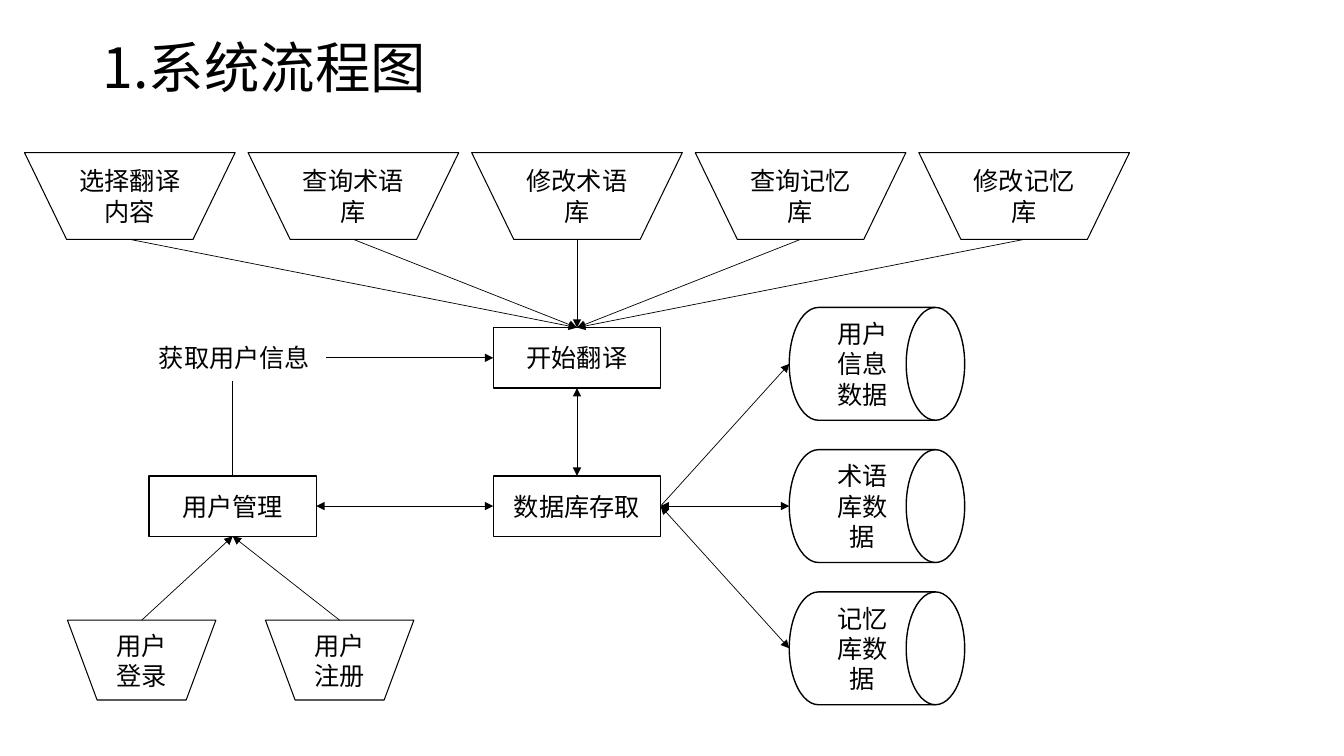
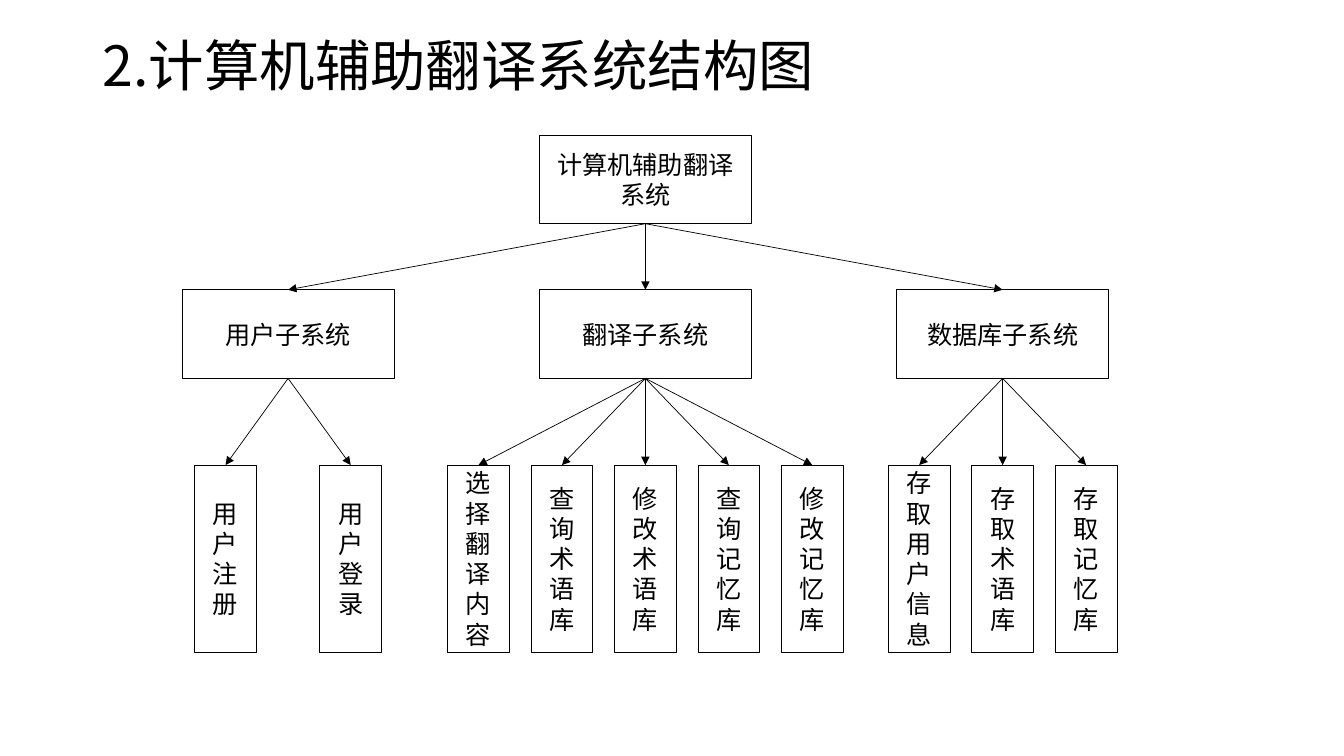
from lxml.etree import SubElement
from pptx import Presentation
from pptx.dml.color import RGBColor
from pptx.enum.shapes import MSO_CONNECTOR, MSO_SHAPE
from pptx.enum.text import MSO_ANCHOR, PP_ALIGN
from pptx.oxml.ns import qn
from pptx.util import Pt

TOP, LEFT, BOTTOM, RIGHT = range(4)


def color(hex_value):
    return RGBColor.from_string(hex_value)


class Diagram:
    FONT = "Noto Sans CJK SC"
    INK = "000000"
    PAPER = "FFFFFF"
    TITLE_SIZE = 39.6
    BODY_SIZE = 18

    def __init__(self):
        self.deck = Presentation()
        self.deck.slide_width, self.deck.slide_height = Pt(960), Pt(540)
        self.page = None

    def add_page(self, title, title_height):
        self.page = self.deck.slides.add_slide(self.deck.slide_layouts[6])
        box = self.label(title, 66.2, 28.8, 828, title_height, self.TITLE_SIZE)
        box.text_frame.vertical_anchor = MSO_ANCHOR.MIDDLE
        box.text_frame.paragraphs[0].line_spacing = 0.9

    def add_text(self, box, text, size, align):
        box.text_frame.word_wrap = True
        para = box.text_frame.paragraphs[0]
        para.alignment = align
        span = para.add_run()
        span.text = text
        span.font.size = Pt(size)
        span.font.name = self.FONT
        span.font.color.rgb = color(self.INK)
        SubElement(span.font._element, qn("a:ea"), typeface=self.FONT)

    def label(self, text, left, top, width, height, size=BODY_SIZE):
        box = self.page.shapes.add_textbox(Pt(left), Pt(top), Pt(width), Pt(height))
        self.add_text(box, text, size, PP_ALIGN.LEFT)
        return box

    def node(self, kind, text, left, top, width, height, line, filled=True):
        box = self.page.shapes.add_shape(kind, Pt(left), Pt(top), Pt(width), Pt(height))
        box.shadow.inherit = False
        if filled:
            box.fill.solid()
            box.fill.fore_color.rgb = color(self.PAPER)
        else:
            box.fill.background()
        box.line.color.rgb = color(self.INK)
        box.line.width = Pt(line)
        box.text_frame.vertical_anchor = MSO_ANCHOR.MIDDLE
        self.add_text(box, text, self.BODY_SIZE, PP_ALIGN.CENTER)
        return box

    def box(self, text, left, top, width, height, line=0.5):
        return self.node(MSO_SHAPE.RECTANGLE, text, left, top, width, height, line)

    def operation(self, text, left, top, width, height):
        return self.node(MSO_SHAPE.FLOWCHART_MANUAL_OPERATION, text,
                         left, top, width, height, 0.75, filled=False)

    def drum(self, text, left, top, width, height):
        return self.node(MSO_SHAPE.FLOWCHART_DIRECT_ACCESS_STORAGE, text,
                         left, top, width, height, 1)

    def line(self, x1=0, y1=0, x2=0, y2=0, head=False, tail=False):
        link = self.page.shapes.add_connector(
            MSO_CONNECTOR.STRAIGHT, Pt(x1), Pt(y1), Pt(x2), Pt(y2))
        link.line.color.rgb = color(self.INK)
        link.line.width = Pt(0.5)
        properties = link._element.spPr
        outline = properties.find(qn("a:ln"))
        for tag, shown in (("a:headEnd", head), ("a:tailEnd", tail)):
            if shown:
                SubElement(outline, qn(tag), type="triangle")
        SubElement(properties, qn("a:effectLst"))
        return link

    def arrow(self, start, start_side, end, end_side, both=False):
        link = self.line(head=both, tail=True)
        link.begin_connect(start, start_side)
        link.end_connect(end, end_side)


def draw_flow(diagram):
    diagram.add_page("1.系统流程图", 43.2)
    size = (119.5, 43.2)
    users = diagram.box("用户管理", 106.5, 339.9, *size, line=1)
    storage = diagram.box("数据库存取", 352.4, 339.9, *size, line=1)
    start = diagram.box("开始翻译", 352.4, 234, *size, line=1)
    user_info = diagram.label("获取用户信息", 106.5, 241.2, 126.7, 28.8)

    tasks = ("选择翻译内容", "查询术语库", "修改术语库", "查询记忆库", "修改记忆库")
    for index, text in enumerate(tasks):
        task = diagram.operation(text, 17.5 + 159.7 * index, 109, 150.5, 62)
        diagram.arrow(task, BOTTOM, start, TOP)

    for index, text in enumerate(("用户登录", "用户注册")):
        entry = diagram.operation(text, 48.2 + 141.4 * index, 443, 106, 57)
        diagram.arrow(entry, TOP, users, BOTTOM)

    for index, text in enumerate(("用户信息数据", "术语库数据", "记忆库数据")):
        drum = diagram.drum(text, 563.8, 219.6 + 101.6 * index, 125.3, 80.6)
        diagram.arrow(storage, RIGHT, drum, LEFT, both=index > 0)

    diagram.arrow(users, RIGHT, storage, LEFT, both=True)
    diagram.arrow(start, BOTTOM, storage, TOP, both=True)
    diagram.arrow(user_info, RIGHT, start, LEFT)
    diagram.line(166.25, 339.9, 166.25, 272).begin_connect(users, TOP)


def draw_structure(diagram):
    diagram.add_page("2.计算机辅助翻译系统结构图", 40.3)
    width, height = 151.6, 63.3
    leaf_width = 44.2
    middle = 461
    subsystems = (
        ("用户子系统", 89.4, ("用户注册", "用户登录")),
        ("翻译子系统", 59.6,
         ("选择翻译内容", "查询术语库", "修改术语库", "查询记忆库", "修改记忆库")),
        ("数据库子系统", 59.6, ("存取用户信息", "存取术语库", "存取记忆库")),
    )
    root = diagram.box("计算机辅助翻译系统", middle - width / 2, 96.5, width, height)
    for column, (name, step, leaves) in enumerate(subsystems):
        center = middle + (column - 1) * 255.2
        branch = diagram.box(name, center - width / 2, 207, width, height)
        diagram.arrow(root, BOTTOM, branch, TOP)
        for index, text in enumerate(leaves):
            leaf_center = center + (index - (len(leaves) - 1) / 2) * step
            leaf = diagram.box(text, leaf_center - leaf_width / 2, 332.2, leaf_width, 133.5)
            diagram.arrow(branch, BOTTOM, leaf, TOP)


def main():
    diagram = Diagram()
    draw_flow(diagram)
    draw_structure(diagram)
    diagram.deck.save("out.pptx")


if __name__ == "__main__":
    main()
